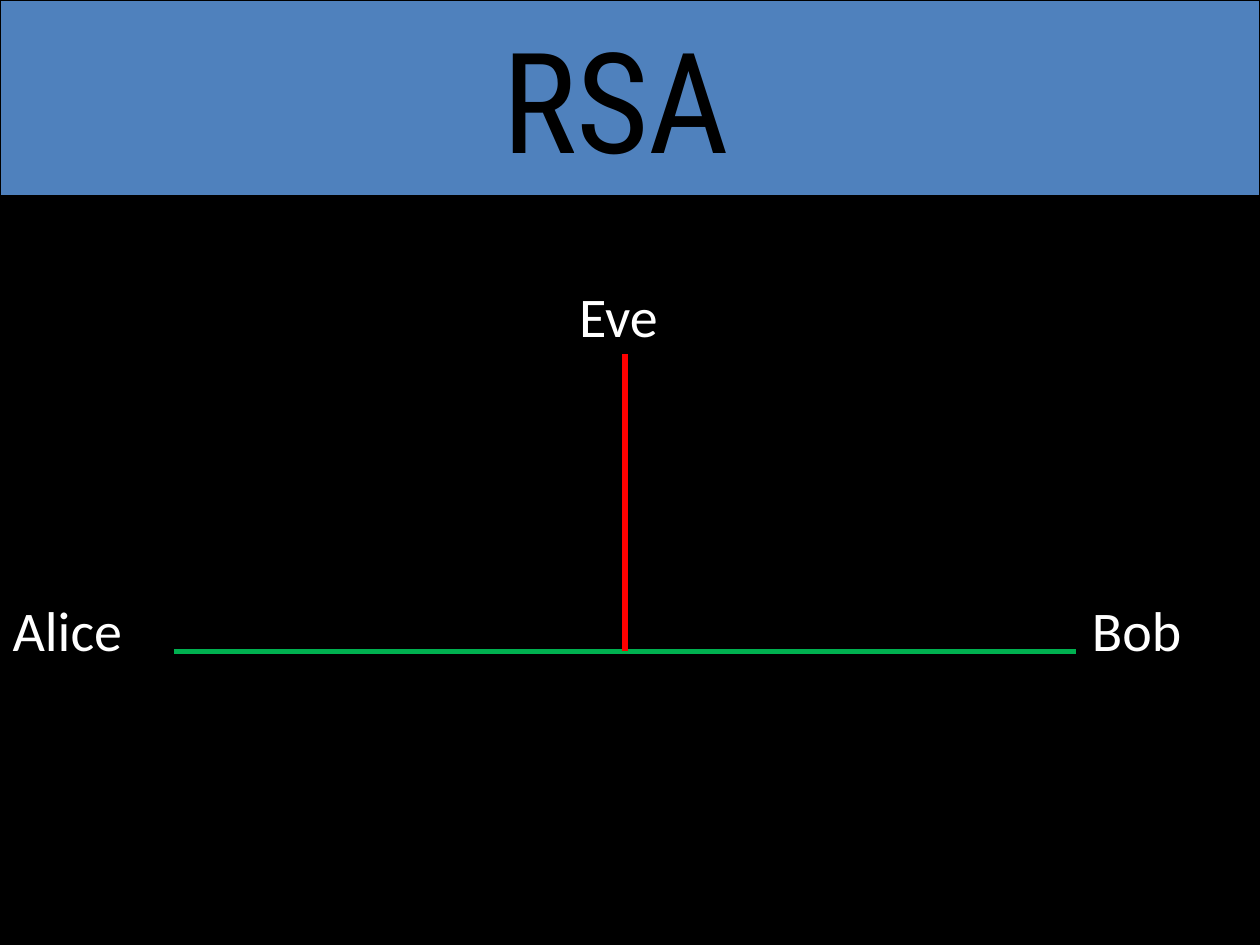
import pptx
import pptx.dml.color
import pptx.enum.shapes
import pptx.enum.text
import pptx.oxml.ns
import pptx.util
from lxml import etree

Pt = pptx.util.Pt
RGBColor = pptx.dml.color.RGBColor

BLACK = RGBColor(0x00, 0x00, 0x00)
WHITE = RGBColor(0xFF, 0xFF, 0xFF)
BLUE = RGBColor(0x4F, 0x81, 0xBD)
GREEN = RGBColor(0x00, 0xB0, 0x50)
RED = RGBColor(0xFF, 0x00, 0x00)

WIDTH, HEIGHT, BANNER = 720, 540, 111.6
CHANNEL_Y, TAP_X = 372.2, 357.1


class Diagram:
    """Draws styled elements on the current slide, with lengths in points."""

    body_font = "Calibri"
    title_font = "Roboto Condensed"
    body_size = 32
    title_size = 80
    line_width = 3

    def __init__(self, slide):
        self.slide = slide

    def panel(self, top, height, fill, outline=None):
        sp = self.slide.shapes.add_shape(
            pptx.enum.shapes.MSO_SHAPE.RECTANGLE, 0, Pt(top), Pt(WIDTH), Pt(height))
        sp.shadow.inherit = False
        sp.fill.solid()
        sp.fill.fore_color.rgb = fill
        if outline is None:
            sp.line.fill.background()
        else:
            sp.line.color.rgb = outline
            sp.line.width = Pt(0.75)
        return sp

    def set_text(self, tf, text, font, size, color, align):
        tf.text = text
        p = tf.paragraphs[0]
        p.alignment = align
        r = p.runs[0]
        r.font.name = font
        r.font.size = Pt(size)
        r.font.color.rgb = color

    def title(self, text):
        tf = self.panel(0, BANNER, BLUE, BLACK).text_frame
        tf.vertical_anchor = pptx.enum.text.MSO_ANCHOR.MIDDLE
        tf.margin_right = Pt(23)
        self.set_text(tf, text, self.title_font, self.title_size, BLACK,
                      pptx.enum.text.PP_ALIGN.CENTER)

    def label(self, text, left, top):
        tf = self.slide.shapes.add_textbox(Pt(left), Pt(top), Pt(80), Pt(39)).text_frame
        tf.margin_left = tf.margin_right = tf.margin_top = tf.margin_bottom = 0
        tf.word_wrap = True
        self.set_text(tf, text, self.body_font, self.body_size, WHITE,
                      pptx.enum.text.PP_ALIGN.LEFT)

    def line(self, x1, y1, x2, y2, color):
        sp = self.slide.shapes.add_connector(
            pptx.enum.shapes.MSO_CONNECTOR.STRAIGHT, Pt(x1), Pt(y1), Pt(x2), Pt(y2))
        sp.line.color.rgb = color
        sp.line.width = Pt(self.line_width)
        etree.SubElement(sp._element.spPr, pptx.oxml.ns.qn("a:effectLst"))


def main():
    prs = pptx.Presentation()
    prs.slide_width, prs.slide_height = Pt(WIDTH), Pt(HEIGHT)
    s = Diagram(prs.slides.add_slide(prs.slide_layouts[6]))
    s.panel(BANNER, HEIGHT - BANNER, BLACK)
    for name, left, top in (("Eve", 331, 161), ("Alice", 7.2, 340.4), ("Bob", 624, 340.4)):
        s.label(name, left, top)
    s.line(99.4, CHANNEL_Y, 615, CHANNEL_Y, GREEN)
    s.line(TAP_X, CHANNEL_Y, TAP_X, 202.3, RED)
    s.title("RSA")
    prs.save("out.pptx")


if __name__ == "__main__":
    main()
